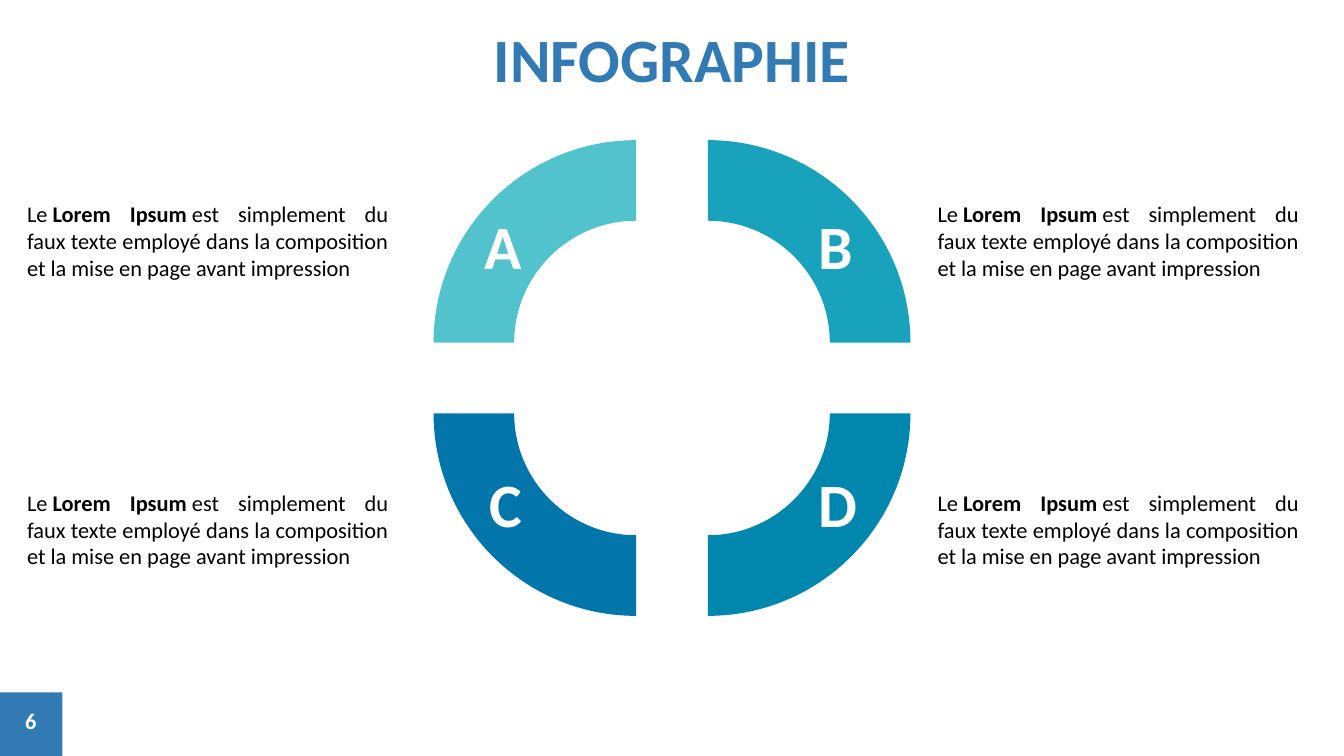
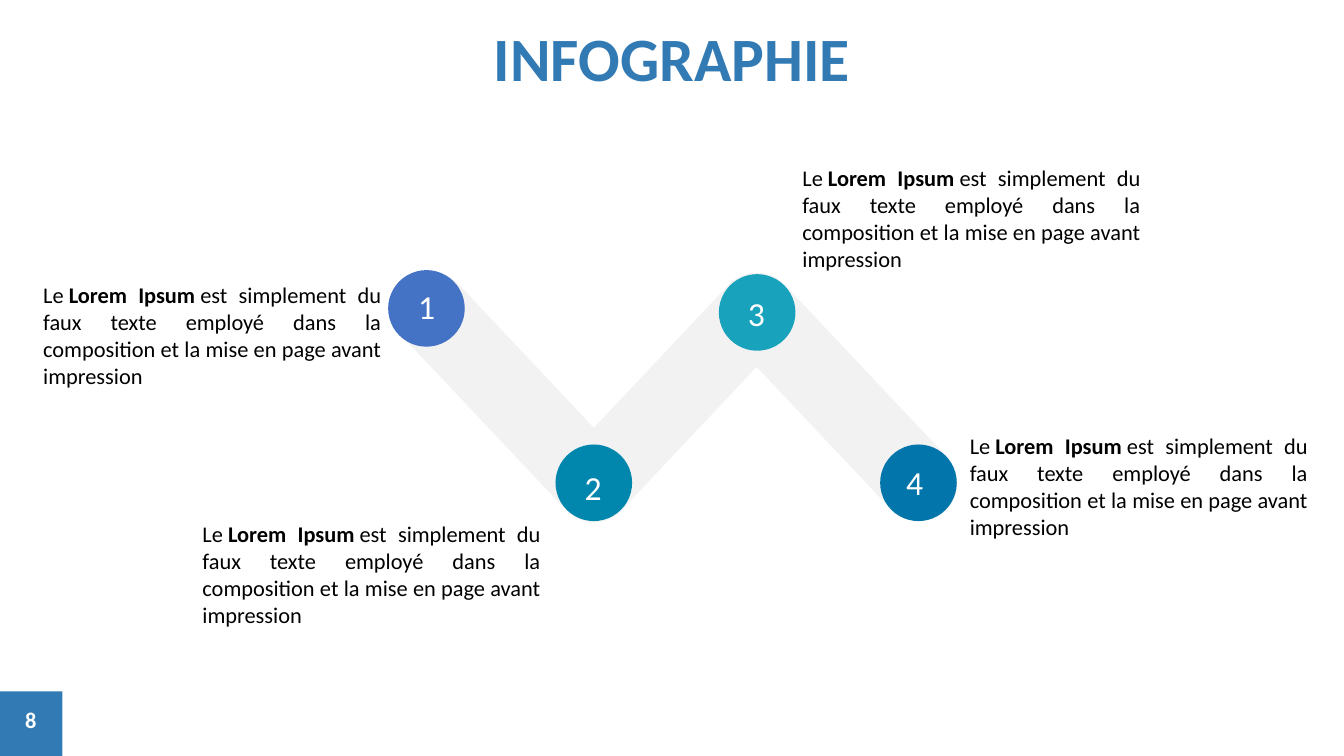
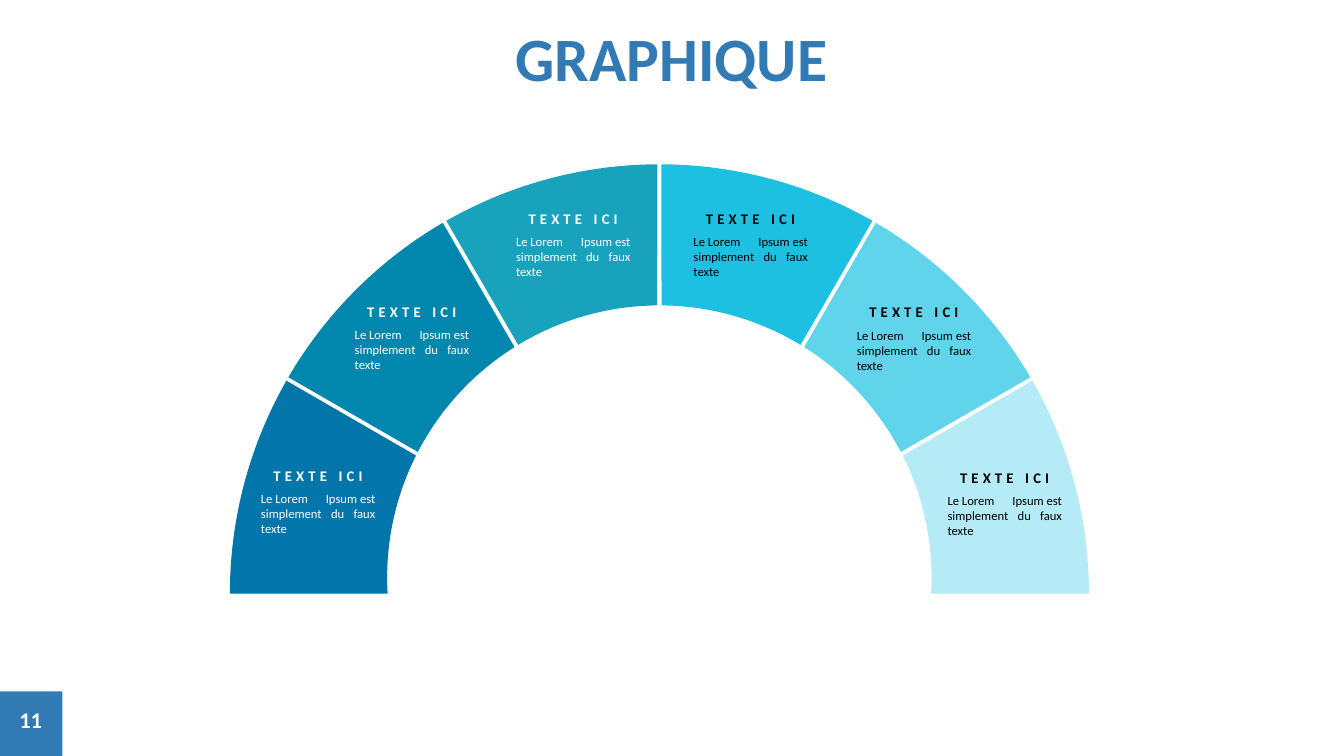
import math
import pptx
import pptx.util
import pptx.dml.color
import pptx.enum.shapes
import pptx.enum.text
import pptx.oxml.ns

PX = 9144  # EMU per px, 100 px to the inch
BLUE, WHITE, BLACK, GREY = "327AB4", "FFFFFF", "000000", "F2F2F2"
DEEP, DARK, TEAL = "0275AB", "0187AD", "18A2BC"
FONT = "Calibri"
HARD = chr(160)  # no-break space
BLURB = [("Le" + HARD, False), ("Lorem Ipsum", True),
         (HARD + "est simplement du faux texte employé dans la composition "
          "et la mise en page avant impression", False)]
SHORT = [(f"Le{HARD}Lorem Ipsum{HARD}est simplement du faux texte", False)]

rgb = pptx.dml.color.RGBColor.from_string
qn = pptx.oxml.ns.qn
kind = pptx.enum.shapes.MSO_SHAPE
side = pptx.enum.text.PP_ALIGN
LEFT, MID, JUST = side.LEFT, side.CENTER, side.JUSTIFY


def paint(shape, hue):
    shape.shadow.inherit = False
    shape.fill.solid()
    shape.fill.fore_color.rgb = rgb(hue)
    shape.line.fill.background()


def write(slide, box, parts, size, hue, align, wrap=True):
    """Add a text box; parts are (text, bold) pairs."""
    frame = slide.shapes.add_textbox(*[n * PX for n in box]).text_frame
    frame.word_wrap = wrap
    frame.auto_size = pptx.enum.text.MSO_AUTO_SIZE.SHAPE_TO_FIT_TEXT
    if not wrap:
        frame.vertical_anchor = pptx.enum.text.MSO_ANCHOR.MIDDLE
    para = frame.paragraphs[0]
    para.alignment = align
    para.font.name = FONT
    para.font.size = pptx.util.Pt(size)
    para.font.color.rgb = rgb(hue)
    if len(parts) == 1:
        para.font.bold = parts[0][1]
    for words, bold in parts:
        run = para.add_run()
        run.text = words
        if len(parts) > 1:
            run.font.bold = bold
    return para


deck = pptx.Presentation()
deck.slide_width, deck.slide_height = 1333 * PX, 750 * PX

# Shared title, corner band and page number
pages = []
for title, number, x, width, drop in [("INFOGRAPHIE", "6", 478, 377, 1),
                                      ("INFOGRAPHIE", "8", 478, 377, 0),
                                      ("GRAPHIQUE", "11", 500, 332, 0)]:
    slide = deck.slides.add_slide(deck.slide_layouts[6])
    band = slide.shapes.add_shape(kind.RECTANGLE, -2 * PX, (686 + drop) * PX,
                                  64 * PX, 64 * PX)
    paint(band, BLUE)
    write(slide, (9, 696 + drop, 43, 37), [(number, True)], 16, WHITE, MID)
    write(slide, (x, 14 + drop, width, 84), [(title, True)], 44, BLUE, MID, False)
    pages.append(slide)
wheel, zigzag, arch = pages

# Ring pieces: slide, centre, outer and inner radius, lift of the inner
# centre, start angle, sweep, half gap, colour
arcs = [(wheel, 631, 340, 201, 121, 0, 90, 90, 0, "52C2CD"),
        (wheel, 702, 340, 201, 121, 0, 0, 90, 0, TEAL),
        (wheel, 631, 410, 201, 121, 0, 180, 90, 0, DEEP),
        (wheel, 702, 410, 201, 121, 0, 270, 90, 0, DARK)]
hues = ["B4EBF6", "5FD4EB", "1DC0E1", TEAL, DARK, DEEP]
for i, hue in enumerate(hues):
    arcs.append((arch, 654, 589, 426, 270, 16, 30 * i, 30, 2, hue))

for slide, cx, cy, big, small, lift, start, sweep, gap, hue in arcs:
    rims = []
    for radius, rise in [(big, 0), (small, lift)]:
        trim = gap / radius
        low = math.radians(start) + (trim if start > 0 else 0)
        high = math.radians(start + sweep) - (trim if start + sweep < 180 else 0)
        # Angles seen from the lifted centre
        low, high = [a - math.asin(rise * math.cos(a) / radius)
                     for a in (low, high)]
        pull = 4 / 3 * math.tan((high - low) / 4)
        rim = []
        for turn, lean in [(low, 0), (low, pull), (high, -pull), (high, 0)]:
            across = math.cos(turn) - lean * math.sin(turn)
            up = math.sin(turn) + lean * math.cos(turn)
            rim.append((round((cx + radius * across) * PX),
                        round((cy - rise - radius * up) * PX)))
        rims.append(rim)
    dots = rims[0] + rims[1][::-1]
    pen = slide.shapes.build_freeform(*dots[0])
    pen.add_line_segments(dots[1:], close=True)
    piece = pen.convert_to_shape()
    # Turn the two rims into Bezier curves
    legs = list(piece._element.iter(qn("a:lnTo")))
    for curve, *rest in (legs[:3], legs[4:]):
        curve.tag = qn("a:cubicBezTo")
        for leg in rest:
            curve.append(leg[0])
            leg.getparent().remove(leg)
    paint(piece, hue)

# Wheel: letters and blurbs
for mark, x, y, width in [("A", 471, 201, 58), ("B", 802, 201, 55),
                          ("C", 476, 457, 53), ("D", 802, 457, 59)]:
    write(wheel, (x, y, width, 84), [(mark, True)], 44, WHITE, LEFT, False)
for y in (194, 480):
    for x in (17, 920):
        write(wheel, (x, y, 378, 91), BLURB, 16, BLACK, JUST)

# Zigzag: bars, then numbered discs with their blurbs
for x, y, angle in [(676, 356, 46.7), (515, 356, 313.3), (354, 357, 46.7)]:
    bar = zigzag.shapes.add_shape(kind.ROUNDED_RECTANGLE, x * PX, y * PX,
                                  310 * PX, 76 * PX)
    bar.adjustments[0] = 0.5
    bar.rotation = angle
    paint(bar, GREY)
stops = [((385, 268), (405, 279), (33, 274), "4472C4"),
         ((551, 441), (570, 458), (191, 511), DARK),
         ((713, 272), (732, 286), (786, 158), TEAL),
         ((873, 441), (889, 453), (952, 424), DEEP)]
for i, (spot, digit, blurb, hue) in enumerate(stops, 1):
    disc = zigzag.shapes.add_shape(kind.OVAL, spot[0] * PX, spot[1] * PX,
                                   76 * PX, 76 * PX)
    paint(disc, hue)
    write(zigzag, (*digit, 37, 50), [(str(i), False)], 24, WHITE, LEFT, False)
    write(zigzag, (*blurb, 355, 118), BLURB, 16, BLACK, JUST)

# Arch: a caption on each piece
for x, y, hue in [(249, 458, WHITE), (342, 295, WHITE), (502, 203, WHITE),
                  (678, 203, BLACK), (840, 296, BLACK), (930, 460, BLACK)]:
    write(arch, (x, y + 24, 133, 56), SHORT, 9, hue, JUST)
    head = write(arch, (x, y, 133, 28), [("TEXTE ICI", True)], 10.5, hue, MID)
    head.runs[0].font._element.set("spc", "300")

deck.save("out.pptx")
